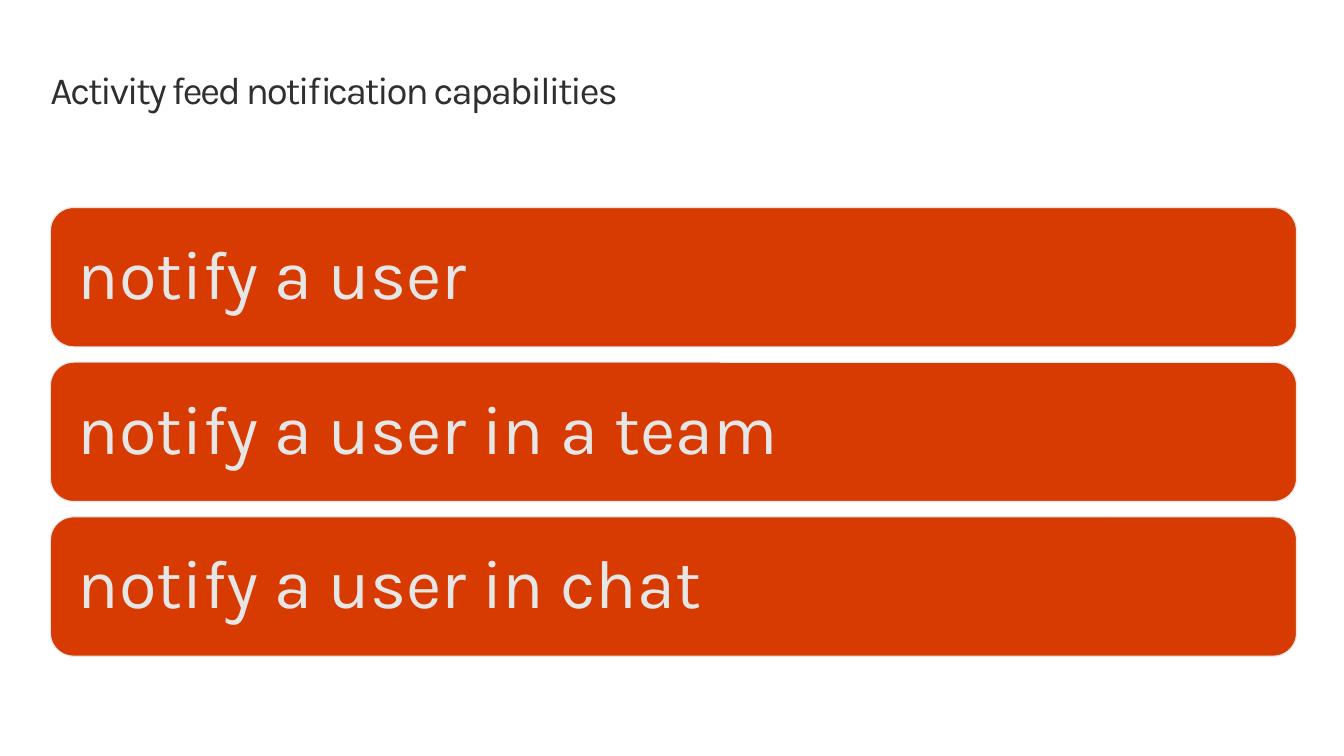
from pptx import Presentation
from pptx.dml.color import RGBColor
from pptx.enum.shapes import MSO_SHAPE as Shape
from pptx.enum.text import MSO_ANCHOR as Anchor, MSO_AUTO_SIZE as AutoSize, PP_ALIGN as Align
from pptx.util import Inches, Pt

ORANGE = RGBColor(0xD8, 0x3B, 0x01)
PALE = RGBColor(0xE6, 0xE6, 0xE6)
CHARCOAL = RGBColor(0x2F, 0x2F, 0x2F)
FONT = "Karla"

# Layout: one column of equal bars
LEFT, WIDTH = Inches(0.51), Inches(12.61)
BARS_TOP, BAR_HEIGHT, BAR_STEP = Inches(2.1), Inches(1.41), Inches(1.565)
CAPABILITIES = ["notify a user", "notify a user in a team", "notify a user in chat"]


def style_text(frame, text, size, color, inset):
    frame.word_wrap = True
    frame.margin_left = frame.margin_right = inset
    frame.margin_top = frame.margin_bottom = inset
    para = frame.paragraphs[0]
    para.text = text
    para.alignment = Align.LEFT
    para.font.name = FONT
    para.font.size = Pt(size)
    para.font.color.rgb = color
    return para


deck = Presentation()
deck.slide_width, deck.slide_height = Inches(13.6), Inches(7.65)
page = deck.slides.add_slide(deck.slide_layouts[5])

# Title
title = page.shapes.title
title.left, title.top, title.width, title.height = LEFT, Inches(0.69), WIDTH, Inches(0.45)
heading = style_text(title.text_frame, "Activity feed notification capabilities", 28, CHARCOAL, 0)
heading.line_spacing = Pt(32)
heading.runs[0].font._element.set("spc", "-150")
title.text_frame.vertical_anchor = Anchor.TOP
title.text_frame.auto_size = AutoSize.SHAPE_TO_FIT_TEXT

# Capability bars
for row, capability in enumerate(CAPABILITIES):
    bar = page.shapes.add_shape(
        Shape.ROUNDED_RECTANGLE, LEFT, BARS_TOP + row * BAR_STEP, WIDTH, BAR_HEIGHT)
    bar.shadow.inherit = False
    bar.fill.solid()
    bar.fill.fore_color.rgb = ORANGE
    bar.line.color.rgb = PALE
    bar.line.width = Pt(0.85)
    label = style_text(bar.text_frame, capability, 50, PALE, Inches(0.21))
    label.line_spacing = 0.9
    bar.text_frame.vertical_anchor = Anchor.MIDDLE

deck.save("out.pptx")
